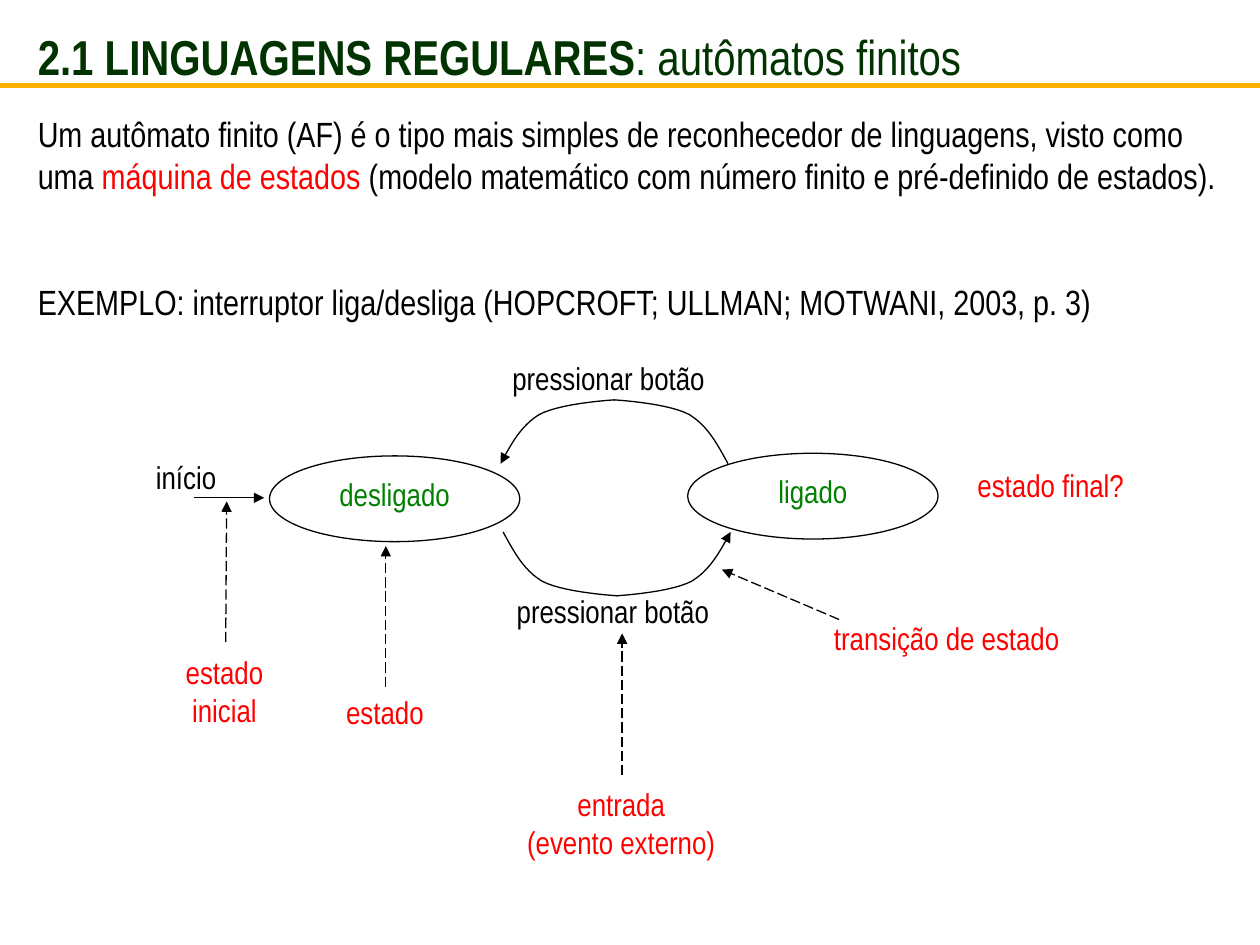
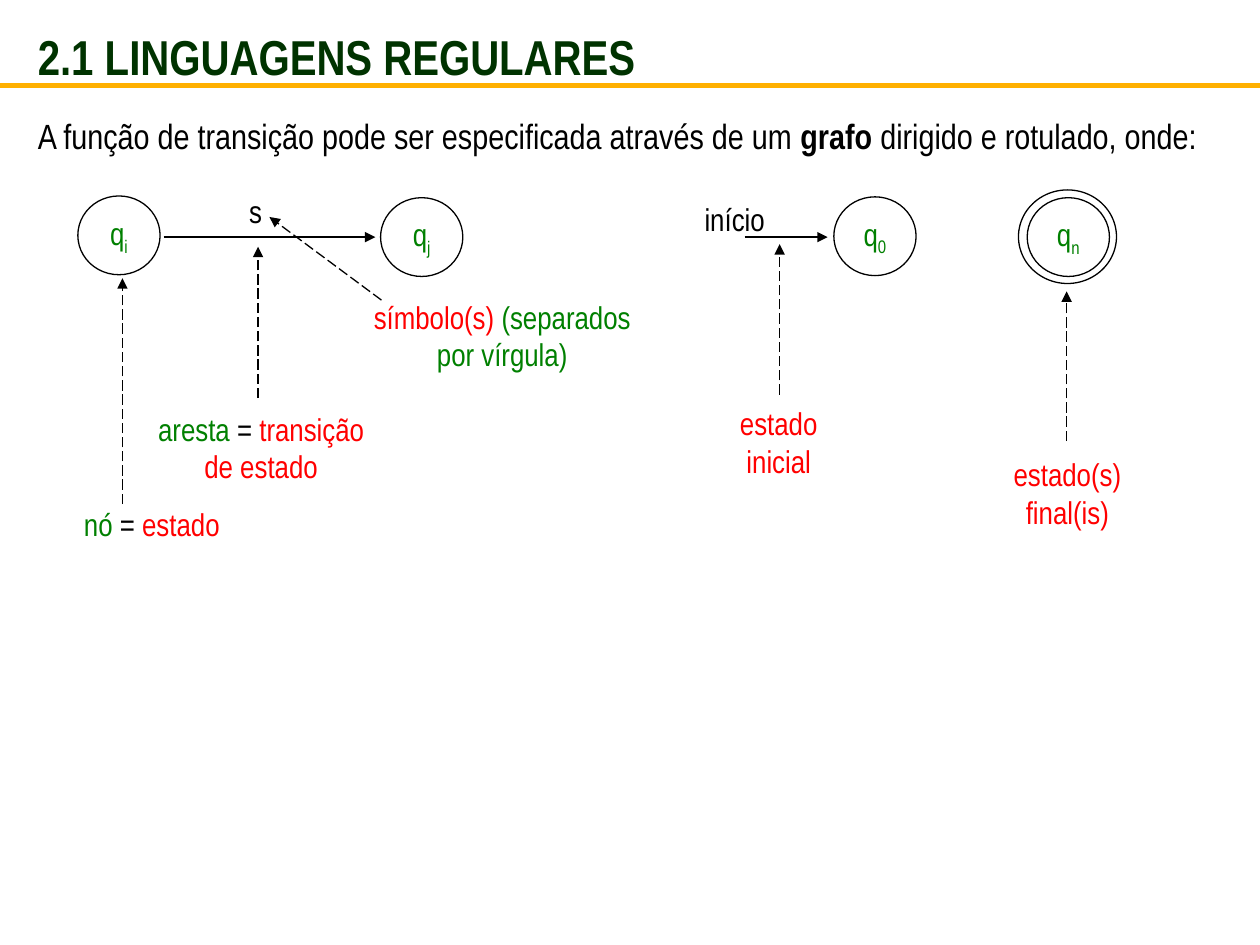
"""Builds two lecture slides on finite automata."""
import pptx
import pptx.util
import pptx.dml.color
import pptx.enum.dml
import pptx.enum.shapes
import pptx.enum.text
import lxml.etree

Pt = pptx.util.Pt
Align = pptx.enum.text.PP_ALIGN
Kind = pptx.enum.shapes.MSO_SHAPE


class Theme:
    font = "Arial Narrow"
    ink, red, green = "000000", "FF0000", "008000"
    title, band, paper = "003300", "FFB000", "FFFFFF"
    head, body, note = 28, 20, 18
    thin, thick = 0.75, 3


INK, RED, GREEN = Theme.ink, Theme.red, Theme.green
HEAD = ("2.1 LINGUAGENS REGULARES", Theme.title, True)
PRESS = [[("pressionar botão", INK)]]
START = [[("início", INK)]]
FIRST = [[("estado inicial", RED)]]
OVAL = (143, 49)
NODE = (47, 45)
RING = (582, 108.5, 56, 53.5)
CURVE = [(0, 0), (6, 11), (11.5, 21.5), (22, 28), (33, 34), (58, 36), (65.5, 36.5)]

SLIDES = [
    {
        "title": [[HEAD, (": autômatos finitos", Theme.title)]],
        "body": [
            [("Um autômato finito (AF) é o tipo mais simples de reconhecedor "
              "de linguagens, visto como uma ", INK),
             ("máquina de estados", RED),
             (" (modelo matemático com número finito e pré-definido de estados).", INK)],
            [("EXEMPLO: interruptor liga/desliga (HOPCROFT; ULLMAN; MOTWANI, "
              "2003, p. 3)", INK)],
        ],
        "top": 60.5, "tall": 128, "gap": 48,
        "states": [(393, 259, "ligado"), (154, 260.5, "desligado")],
        "arcs": [(416, 265, -1, -1, False), (286, 265, 1, -1, True),
                 (287.5, 304, 1, 1, False), (417.5, 304, -1, 1, True)],
        "labels": [
            (251.5, 335, 197.5, 26, PRESS),
            (249, 201.5, 197.5, 26, PRESS),
            (82, 258, 57, 33, START),
            (181.5, 392.5, 77, 33, [[("estado", RED)]]),
            (247, 445, 216, 47.5,
             [[("entrada", RED)], [("(evento externo)", RED)]]),
            (91.5, 369.5, 73.5, 45.5, FIRST),
        ],
        "cards": [
            (438.5, 350, 205, 40, [[("transição de estado", RED)]], Align.CENTER),
            (551.5, 263, 124, 37, [[("estado final?", RED)]], Align.LEFT),
        ],
        "edges": [(111, 284.5, 151, 284.5)],
        "hints": [(220.5, 392.5, 220.5, 312), (355.5, 443, 355.5, 362),
                  (479.5, 354, 412.5, 325.5), (129, 367, 129.5, 286.5)],
    },
    {
        "title": [[HEAD]],
        "body": [[("A função de transição pode ser especificada através de um ", INK),
                  ("grafo", INK, True),
                  (" dirigido e rotulado, onde:", INK)]],
        "top": 62, "tall": 31.5, "gap": 0,
        "rings": [RING],
        "nodes": [(476.5, 112.5, "0"), (44.5, 112, "i"),
                  (217.5, 113, "j"), (587, 113, "n")],
        "labels": [
            (395.5, 111, 67.5, 34.5, START),
            (130.5, 106, 31, 27, [[("s", INK)]]),
            (31, 285, 111.5, 34.5,
             [[("nó ", GREEN), ("=", INK), (" estado", RED)]]),
            (77, 230.5, 144.5, 50,
             [[("aresta ", GREEN), ("=", INK), (" transição de estado", RED)]]),
            (401.5, 227.5, 87, 48, FIRST),
            (561.5, 256.5, 97, 48, [[("estado(s) final(is)", RED)]]),
            (202, 166.5, 170, 76,
             [[("símbolo(s) ", RED), ("(separados por vírgula)", GREEN)]]),
        ],
        "edges": [(425.5, 135.5, 473, 135.5), (93.5, 135.5, 214.5, 135.5)],
        "hints": [(70, 288, 70, 159), (147.5, 227.5, 147.5, 141),
                  (445.5, 225.5, 445.5, 139.5), (609.5, 252, 609.5, 166.5),
                  (218, 171.5, 154, 124)],
    },
]


def tint(code):
    return pptx.dml.color.RGBColor.from_string(code)


def write(shape, paras, size, align=Align.LEFT, gap=0):
    frame = shape.text_frame
    frame.word_wrap = True
    frame.vertical_anchor = pptx.enum.text.MSO_ANCHOR.TOP
    for num, runs in enumerate(paras):
        para = frame.add_paragraph() if num else frame.paragraphs[0]
        para.alignment = align
        if num:
            para.space_before = Pt(gap)
        for text, code, *bold in runs:
            run = para.add_run()
            run.text = text
            font = run.font
            font.name, font.size = Theme.font, Pt(size)
            font.bold = bool(bold)
            font.color.rgb = tint(code)
    return frame


def label(page, box, paras, size, align, gap=0):
    shape = page.shapes.add_textbox(*map(Pt, box))
    return write(shape, paras, size, align, gap)


def stroke(shape, code=INK, width=Theme.thin):
    shape.line.color.rgb = tint(code)
    shape.line.width = Pt(width)


def tip(shape, end):
    line = shape.line._get_or_add_ln()
    tag = pptx.oxml.ns.qn("a:" + end)
    lxml.etree.SubElement(line, tag, type="triangle")


def block(page, kind, box, paras=(), align=Align.CENTER):
    shape = page.shapes.add_shape(kind, *map(Pt, box))
    shape.shadow.inherit = False
    shape.fill.solid()
    shape.fill.fore_color.rgb = tint(Theme.paper)
    if kind == Kind.OVAL:
        stroke(shape)
    else:
        shape.line.fill.background()
    return write(shape, paras, Theme.note, align)


def node(page, left, top, sub):
    runs = [("q", GREEN), (sub, GREEN)]
    frame = block(page, Kind.OVAL, (left, top, *NODE), [runs])
    para = frame.paragraphs[0]
    para.space_before = para.space_after = Pt(2)
    para.runs[1]._r.get_or_add_rPr().set("baseline", "-25000")


def link(page, ends, code=INK, width=Theme.thin, dash=False, arrow=True):
    straight = pptx.enum.shapes.MSO_CONNECTOR.STRAIGHT
    line = page.shapes.add_connector(straight, *map(Pt, ends))
    stroke(line, code, width)
    if dash:
        line.line.dash_style = pptx.enum.dml.MSO_LINE.LONG_DASH
    if arrow:
        tip(line, "tailEnd")
    lxml.etree.SubElement(line._element.spPr, pptx.oxml.ns.qn("a:effectLst"))


def bend(a, b, c, d, t):
    u = 1 - t
    return u**3 * a + 3 * u * u * t * b + 3 * u * t * t * c + t**3 * d


def arc(page, left, top, flip, turn, arrow):
    spots = [(left, top)]
    for part in (CURVE[:4], CURVE[3:]):
        xs, ys = zip(*part)
        for step in range(1, 13):
            t = step / 12
            spots.append((left + flip * bend(*xs, t), top + turn * bend(*ys, t)))
    spots = [(Pt(x), Pt(y)) for x, y in spots]
    pen = page.shapes.build_freeform(*spots[0])
    pen.add_line_segments(spots[1:], close=False)
    shape = pen.convert_to_shape()
    shape.shadow.inherit = False
    shape.fill.background()
    stroke(shape)
    if arrow:
        tip(shape, "headEnd")


def build(deck, data):
    page = deck.slides.add_slide(deck.slide_layouts[6])
    label(page, (14.5, data["top"], 690, data["tall"]), data["body"],
          Theme.body, Align.LEFT, data["gap"])
    for box in data.get("rings", []):
        block(page, Kind.OVAL, box)
    for left, top, name in data.get("states", []):
        block(page, Kind.OVAL, (left, top, *OVAL), [[(name, GREEN)]])
    for item in data.get("nodes", []):
        node(page, *item)
    for item in data.get("arcs", []):
        arc(page, *item)
    for *box, paras, align in data.get("cards", []):
        block(page, Kind.RECTANGLE, box, paras, align)
    for *box, paras in data["labels"]:
        align = Align.LEFT if paras is START else Align.CENTER
        label(page, box, paras, Theme.note, align)
    for ends in data["edges"]:
        link(page, ends)
    for ends in data["hints"]:
        link(page, ends, dash=True)
    frame = label(page, (14.5, 8, 690, 48), data["title"], Theme.head, Align.LEFT)
    frame.vertical_anchor = pptx.enum.text.MSO_ANCHOR.MIDDLE
    link(page, (0, 49, 720, 49), Theme.band, Theme.thick, arrow=False)


deck = pptx.Presentation()
deck.slide_width, deck.slide_height = Pt(720), Pt(540)
for data in SLIDES:
    build(deck, data)
deck.save("out.pptx")
